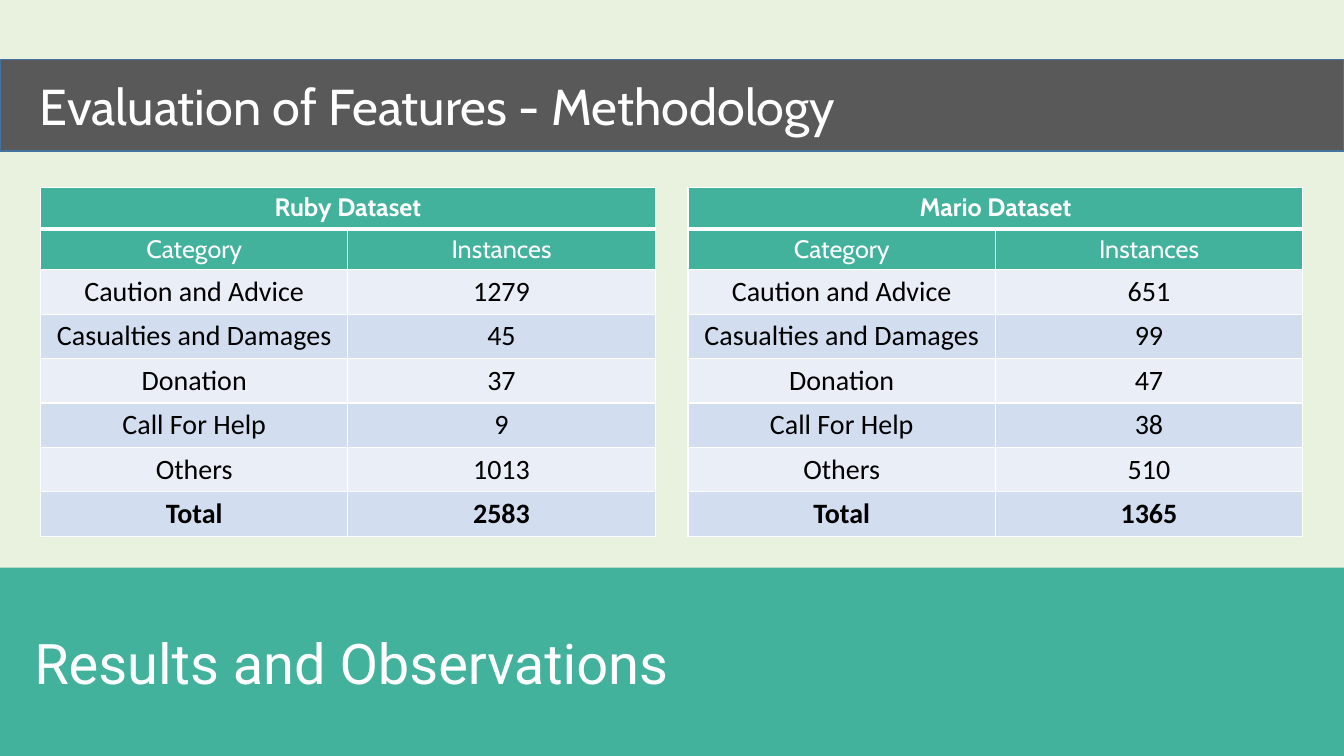
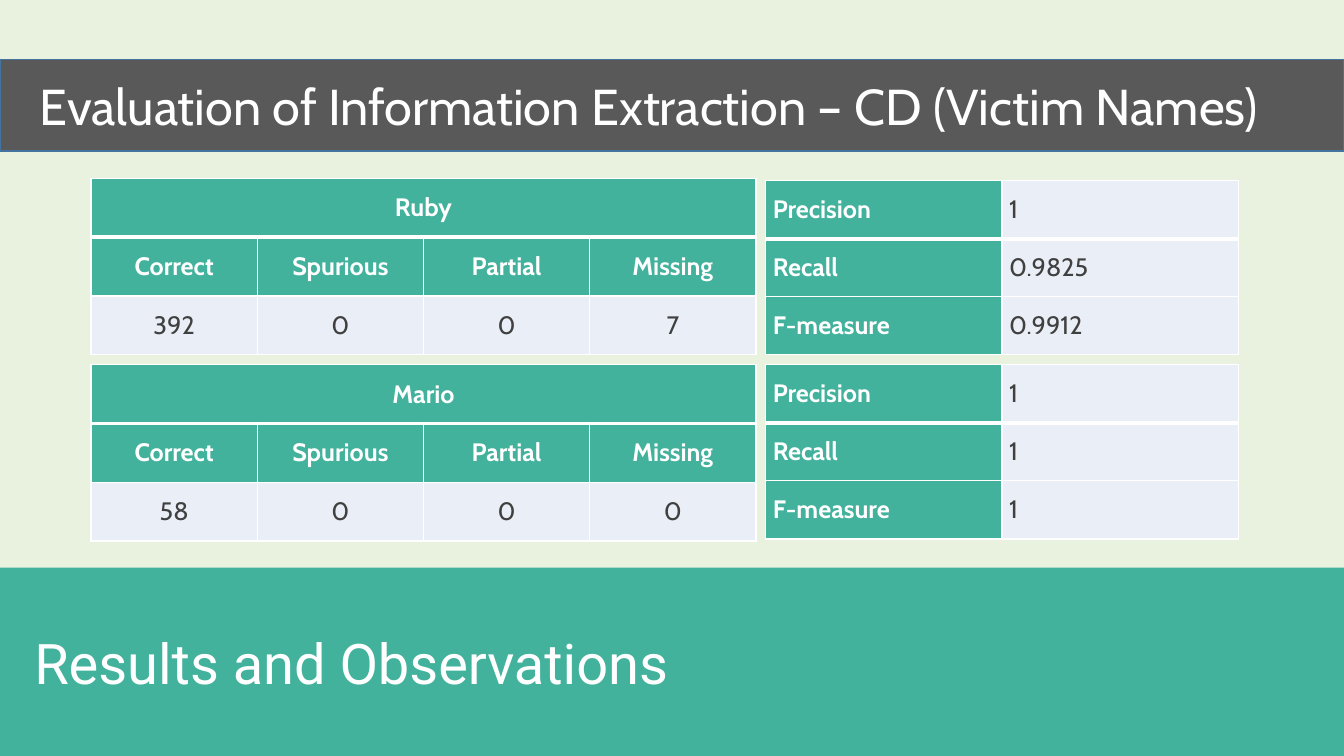
import pptx
import pptx.util
import pptx.dml.color
import pptx.enum.shapes
import pptx.enum.text
import lxml.etree
from dataclasses import dataclass
from typing import NamedTuple

Pt = pptx.util.Pt
RGB = pptx.dml.color.RGBColor.from_string
ALIGN = pptx.enum.text.PP_ALIGN
ANCHOR = pptx.enum.text.MSO_ANCHOR


class CellStyle(NamedTuple):
    fill: str
    color: str
    bold: bool
    font: str = "Cabin"
    size: int = 18


@dataclass(frozen=True)
class Theme:
    background: str = "E9F1DF"
    green: str = "42B29D"
    gray: str = "595959"
    outline: str = "43739E"
    white: str = "FFFFFF"
    black: str = "000000"
    text: str = "404040"
    light: str = "EAEFF7"
    dark: str = "D2DEEF"
    title_font: str = "Cabin"
    title_size: int = 36
    footer_font: str = "Roboto"
    footer_size: int = 40
    body_font: str = "Calibri"
    body_size: int = 20


theme = Theme()
HEAD = CellStyle(theme.green, theme.white, True)
SUBHEAD = CellStyle(theme.green, theme.white, False)
VALUE = CellStyle(theme.light, theme.text, False)
LIGHT = CellStyle(theme.light, theme.black, False, theme.body_font, theme.body_size)
DARK = LIGHT._replace(fill=theme.dark)
TOTAL = DARK._replace(bold=True)


def add_band(s, text, top, height, fill, font, size, indent):
    sp = s.shapes.add_shape(pptx.enum.shapes.MSO_SHAPE.RECTANGLE,
                            0, Pt(top), prs.slide_width, Pt(height))
    sp.shadow.inherit = False
    sp.fill.solid()
    sp.fill.fore_color.rgb = RGB(fill)
    sp.line.fill.background()
    tf = sp.text_frame
    tf.word_wrap = True
    tf.vertical_anchor = ANCHOR.MIDDLE
    tf.margin_left = Pt(indent)
    tf.text = text
    p = tf.paragraphs[0]
    p.alignment = ALIGN.LEFT
    f = p.runs[0].font
    f.name, f.size, f.color.rgb = font, Pt(size), RGB(theme.white)
    return sp


def add_grid(s, left, top, width, heights, rows, styles, align=ALIGN.CENTER, inset=None):
    """Add a table; a row with a single text spans all columns."""
    n_cols = len(rows[-1])
    table = s.shapes.add_table(len(rows), n_cols, Pt(left), Pt(top),
                               Pt(width), Pt(sum(heights))).table
    table.first_row = table.horz_banding = False
    for i, (texts, row_styles) in enumerate(zip(rows, styles)):
        table.rows[i].height = Pt(heights[i])
        if len(texts) == 1:
            table.cell(i, 0).merge(table.cell(i, n_cols - 1))
        for j in range(n_cols):
            cell = table.cell(i, j)
            style = row_styles[min(j, len(row_styles) - 1)]

            # White borders, thicker under the first row
            tc_pr = cell._tc.get_or_add_tcPr()
            for side in "LRTB":
                thick = (i, side) in ((0, "B"), (1, "T"))
                tc_pr.append(pptx.oxml.parse_xml(
                    f'<a:ln{side} xmlns:a="http://schemas.openxmlformats.org/drawingml/2006/main" '
                    f'w="{Pt(3 if thick else 1)}"><a:solidFill><a:srgbClr val="{theme.white}"/>'
                    f'</a:solidFill></a:ln{side}>'))
            cell.fill.solid()
            cell.fill.fore_color.rgb = RGB(style.fill)
            if inset:
                cell.vertical_anchor = ANCHOR.MIDDLE
                cell.margin_left = cell.margin_right = Pt(inset)
                cell.margin_top = cell.margin_bottom = Pt(inset)
            if j < len(texts):
                cell.text_frame.text = texts[j]
                p = cell.text_frame.paragraphs[0]
                p.alignment = align
                f = p.runs[0].font
                f.name, f.size, f.bold = style.font, Pt(style.size), style.bold
                f.color.rgb = RGB(style.color)


prs = pptx.Presentation()
prs.slide_width, prs.slide_height = Pt(960), Pt(540)

# Background, footer band and title band on both slides
slides = []
for title in ("Evaluation of Features - Methodology",
              "Evaluation of Information Extraction – CD (Victim Names)"):
    s = prs.slides.add_slide(prs.slide_layouts[6])
    s.background.fill.solid()
    s.background.fill.fore_color.rgb = RGB(theme.background)
    add_band(s, "Results and Observations", 405.5, 134.5, theme.green,
             theme.footer_font, theme.footer_size, 24.5)
    sp = add_band(s, title, 42.5, 65.5, theme.gray,
                  theme.title_font, theme.title_size, 28.5)
    sp.line.color.rgb = RGB(theme.outline)
    sp.line.width = Pt(1)
    slides.append(s)
features, extraction = slides

# Slide 1: instances per category in each dataset
categories = ["Caution and Advice", "Casualties and Damages", "Donation",
              "Call For Help", "Others", "Total"]
datasets = [
    ("Ruby Dataset", 29, ["1279", "45", "37", "9", "1013", "2583"]),
    ("Mario Dataset", 491.5, ["651", "99", "47", "38", "510", "1365"]),
]
category_styles = [[style] for style in
                   (HEAD, SUBHEAD, LIGHT, DARK, LIGHT, DARK, LIGHT, TOTAL)]
for name, left, counts in datasets:
    rows = [[name], ["Category", "Instances"], *zip(categories, counts)]
    add_grid(features, left, 134, 439, [29.5, 28.5] + [31.7] * 6, rows, category_styles)

# Slide 2: extraction counts on the left, measures on the right
measures = ["Precision", "Recall", "F-measure"]
results = [
    ("Ruby", 127.5, 129, ["392", "0", "0", "7"], ["1", "0.9825", "0.9912"]),
    ("Mario", 260.5, 260.5, ["58", "0", "0", "0"], ["1", "1", "1"]),
]
for name, counts_top, measures_top, counts, scores in results:
    rows = [[name], ["Correct", "Spurious", "Partial", "Missing"], counts]
    add_grid(extraction, 65, counts_top, 475, [42] * 3, rows,
             [[HEAD], [HEAD], [VALUE]], inset=5)
    add_grid(extraction, 547, measures_top, 337.5, [41.5] * 3, list(zip(measures, scores)),
             [[HEAD, VALUE]] * 3, align=ALIGN.LEFT, inset=5)

prs.save("out.pptx")
